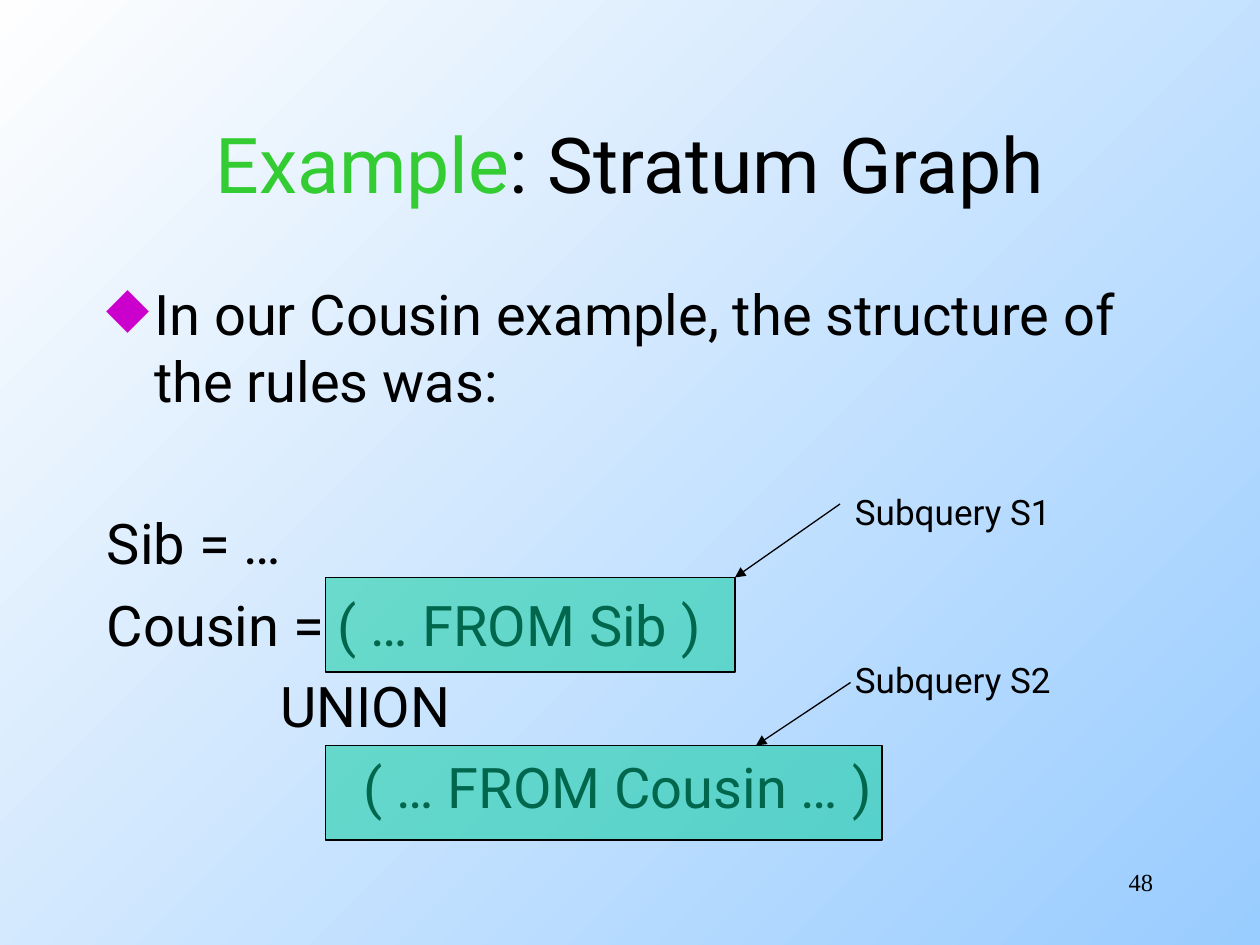
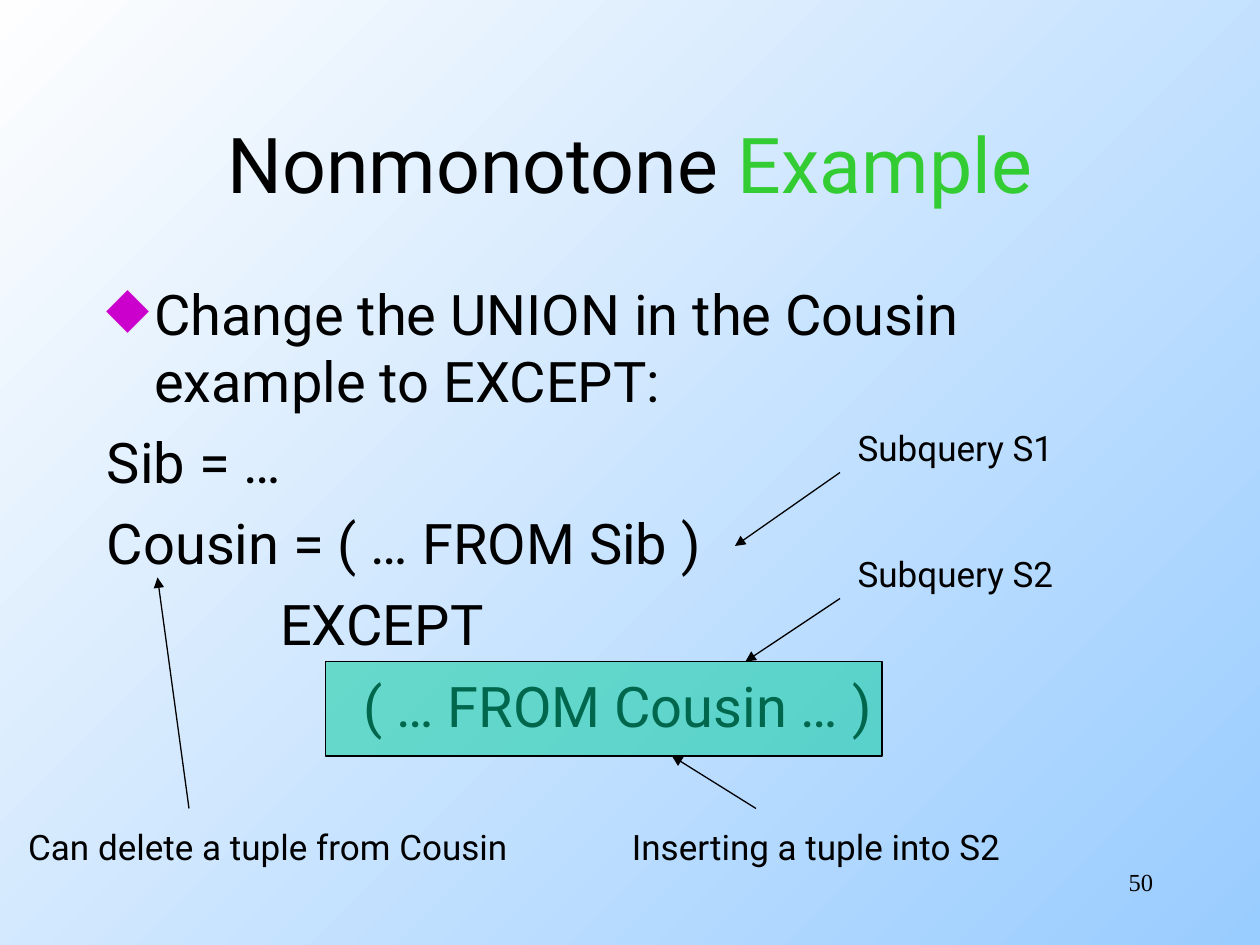
"""Builds two slides on the subqueries of the recursive Cousin example."""
from lxml.etree import SubElement
from pptx import Presentation
from pptx.dml.color import RGBColor
from pptx.enum.shapes import MSO_CONNECTOR as Connector, MSO_SHAPE as Shape
from pptx.enum.text import MSO_ANCHOR as Anchor, PP_ALIGN as Align
from pptx.oxml.ns import qn
from pptx.util import Pt

hex_color = RGBColor.from_string
BLACK, GREEN, TEAL, PURPLE = "000000", "33CC33", "00CC99", "CC00CC"
SKY, WHITE = "99CCFF", "FEFEFE"
TITLE = {"name": "Roboto", "size": Pt(44)}
BODY = {"name": "Roboto", "size": Pt(32)}
LABEL = {"name": "Roboto", "size": Pt(20)}
NUMBER = {"name": "Times New Roman", "size": Pt(14)}
HANG, OPERATOR, OPERAND = 27, 99, 146.5
BODY_GAP, WIDE_GAP = 8, 54.5
BOX_LEFT, BOX_HEIGHT = 186, 54

SLIDES = [
    {
        "title": [("Example", GREEN), (": Stratum Graph", BLACK)],
        "bullet": "In our Cousin example, the structure of the rules was:",
        "rule gap": WIDE_GAP,
        "operator": "UNION",
        "boxes": [(330, 234), (426, 318)],
        "labels": [
            ((481.5, 276.5, 132.5, 127.5), ["Subquery S1", "Subquery S2"], 72),
        ],
        "arrows": [(480, 288, 420, 330), (486, 390, 432, 426)],
        "number": "48",
    },
    {
        "title": [("Nonmonotone ", BLACK), ("Example", GREEN)],
        "bullet": "Change the UNION in the Cousin example to EXCEPT:",
        "rule gap": BODY_GAP,
        "operator": "EXCEPT",
        "boxes": [(378, 318)],
        "labels": [
            ((483, 240, 132.5, 103.5), ["Subquery S1", "Subquery S2"], 48),
            ((354, 468, 240, 31.5), ["Inserting a tuple into S2"], 0),
            ((9, 468, 305.5, 31.5), ["Can delete a tuple from Cousin"], 0),
        ],
        "arrows": [
            (480, 270, 420, 312),
            (480, 342, 426, 378),
            (432, 462, 384, 432),
            (108, 462, 90, 330),
        ],
        "number": "50",
    },
]


def add_frame(slide, place, anchor=Anchor.TOP):
    frame = slide.shapes.add_textbox(*map(Pt, place)).text_frame
    frame.word_wrap = True
    frame.vertical_anchor = anchor
    return frame


def add_paragraph(frame, runs, style, **layout):
    first = frame.paragraphs[0]
    paragraph = frame.add_paragraph() if first.runs else first
    for name, value in layout.items():
        setattr(paragraph, name, value)
    for text, color in runs:
        run = paragraph.add_run()
        run.text = text
        for name, value in style.items():
            setattr(run.font, name, value)
        run.font.color.rgb = hex_color(color)
    return paragraph


presentation = Presentation()
presentation.slide_width, presentation.slide_height = Pt(720), Pt(540)
backdrop = presentation.slide_master.background.fill
backdrop.gradient()
backdrop.gradient_angle = 135
for stop, color, position in zip(backdrop.gradient_stops, (SKY, WHITE), (0, 1)):
    stop.color.rgb = hex_color(color)
    stop.position = position

for content in SLIDES:
    slide = presentation.slides.add_slide(presentation.slide_layouts[6])

    title = add_frame(slide, (54, 48, 612, 90), Anchor.MIDDLE)
    add_paragraph(title, content["title"], TITLE, alignment=Align.CENTER)

    body = add_frame(slide, (54, 156, 612, 324))
    bullet = add_paragraph(body, [(content["bullet"], BLACK)], BODY, space_before=Pt(BODY_GAP))
    properties = bullet._p.get_or_add_pPr()
    properties.set("marL", str(Pt(HANG)))
    properties.set("indent", str(-Pt(HANG)))
    bullet_color = SubElement(properties, qn("a:buClr"))
    SubElement(bullet_color, qn("a:srgbClr"), val=PURPLE)
    SubElement(properties, qn("a:buChar"), char="◆")
    for text, indent, gap in [
        ("Sib = …", 0, content["rule gap"]),
        ("Cousin = ( … FROM Sib )", 0, BODY_GAP),
        (content["operator"], OPERATOR, BODY_GAP),
        ("( … FROM Cousin … )", OPERAND, BODY_GAP),
    ]:
        line = add_paragraph(body, [(text, BLACK)], BODY, space_before=Pt(gap))
        line._p.get_or_add_pPr().set("marL", str(Pt(indent)))

    for top, width in content["boxes"]:
        box = slide.shapes.add_shape(Shape.RECTANGLE, *map(Pt, (BOX_LEFT, top, width, BOX_HEIGHT)))
        box.shadow.inherit = False
        box.fill.solid()
        box.fill.fore_color.rgb = hex_color(TEAL)
        fill_color = box._element.spPr.find(qn("a:solidFill"))[0]
        SubElement(fill_color, qn("a:alpha"), val="50000")
        box.line.color.rgb = hex_color(BLACK)
        box.line.width = Pt(0.75)

    for place, lines, gap in content["labels"]:
        label = add_frame(slide, place)
        for index, text in enumerate(lines):
            add_paragraph(label, [(text, BLACK)], LABEL, space_before=Pt(gap * index))

    for ends in content["arrows"]:
        arrow = slide.shapes.add_connector(Connector.STRAIGHT, *map(Pt, ends))
        arrow.line.color.rgb = hex_color(BLACK)
        arrow.line.width = Pt(0.75)
        SubElement(arrow.line._get_or_add_ln(), qn("a:tailEnd"), type="triangle")
        SubElement(arrow._element.spPr, qn("a:effectLst"))

    number = add_frame(slide, (516, 492, 150, 36))
    add_paragraph(number, [(content["number"], BLACK)], NUMBER, alignment=Align.RIGHT)

presentation.save("out.pptx")
